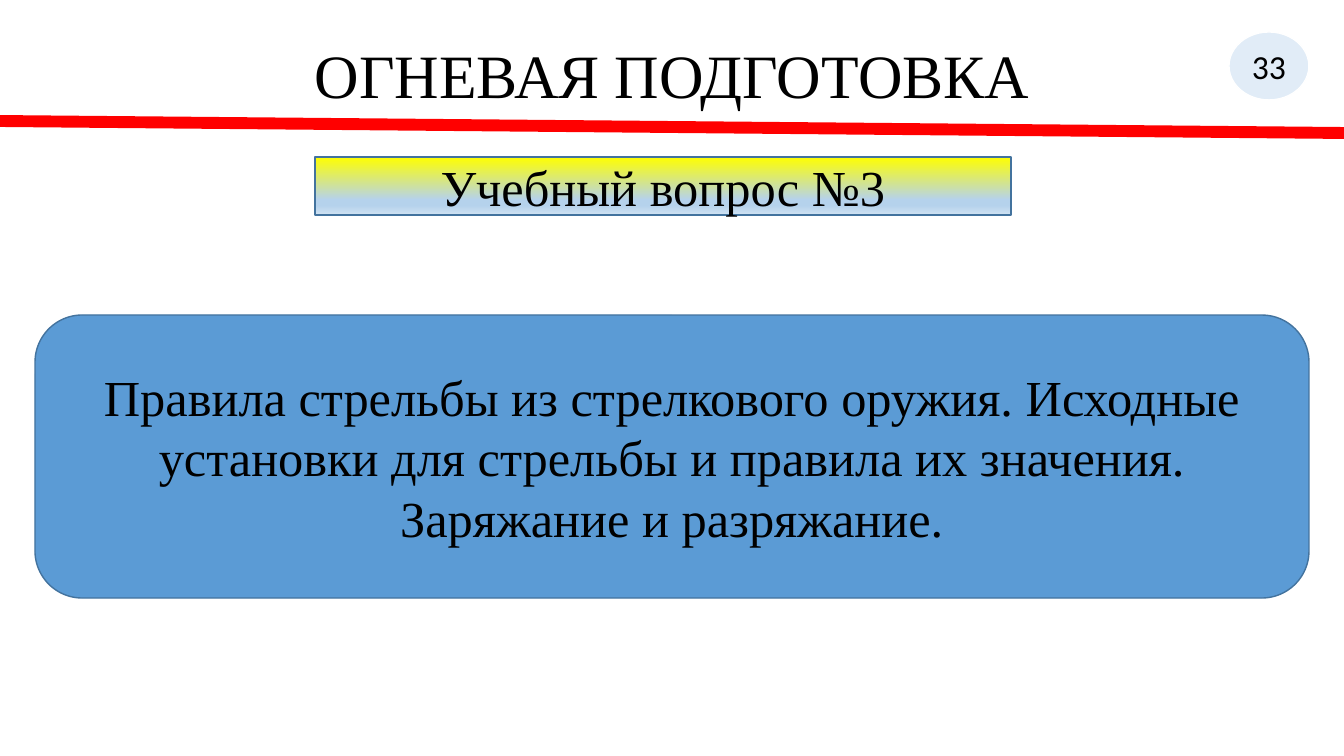
from lxml.etree import SubElement
from pptx import Presentation
from pptx.dml.color import RGBColor
from pptx.enum.shapes import MSO_CONNECTOR, MSO_SHAPE
from pptx.enum.text import MSO_ANCHOR, PP_ALIGN
from pptx.oxml.ns import qn
from pptx.util import Pt

# Content
TITLE = "ОГНЕВАЯ ПОДГОТОВКА"
PAGE_NUMBER = "33"
QUESTION = "Учебный вопрос №3"
TOPIC = ("Правила стрельбы из стрелкового оружия. Исходные установки для "
         "стрельбы и правила их значения. Заряжание и разряжание.")

SERIF, SANS = "Times New Roman", "Calibri"
BLACK = RGBColor(0x00, 0x00, 0x00)
WHITE = RGBColor(0xFF, 0xFF, 0xFF)
RED = RGBColor(0xFF, 0x00, 0x00)
BLUE = RGBColor(0x5B, 0x9B, 0xD5)
DARK_BLUE = RGBColor(0x43, 0x73, 0x9E)
YELLOW = RGBColor(0xFF, 0xFF, 0x00)
PALE_BLUE = RGBColor(0xB5, 0xD2, 0xEC)
LIGHT_BLUE = RGBColor(0xCE, 0xE1, 0xF2)
QUESTION_STOPS = [(0, YELLOW), (74, PALE_BLUE), (83, PALE_BLUE), (100, LIGHT_BLUE)]
BADGE_OPACITY = 18

# Shape, area in px (left, top, width, height), outline, text, font, size
BADGE = (MSO_SHAPE.OVAL, (1229, 32, 80, 68), WHITE, PAGE_NUMBER, SANS, 24)
TOPIC_BOX = (MSO_SHAPE.ROUNDED_RECTANGLE, (35, 315, 1274, 283), DARK_BLUE, TOPIC, SERIF, 36)
QUESTION_BOX = (MSO_SHAPE.RECTANGLE, (315, 157, 696, 58), DARK_BLUE, QUESTION, SERIF, 36)
TITLE_AREA = (93, 40, 1159, 146)
RULE = (0, 121, 1344, 133)
PAGE_SIZE = (1344, 756)
EMU_PER_PX = 914400 / 100.8


def emu(lengths):
    return [round(length * EMU_PER_PX) for length in lengths]


def write(frame, text, font, size, anchor=MSO_ANCHOR.MIDDLE):
    frame.text = text
    frame.vertical_anchor = anchor
    para = frame.paragraphs[0]
    para.alignment = PP_ALIGN.CENTER
    span = para.runs[0]
    span.font.name = font
    span.font.size = Pt(size)
    span.font.color.rgb = BLACK
    return para


def add_box(page, kind, area, outline, text, font, size):
    box = page.shapes.add_shape(kind, *emu(area))
    box.shadow.inherit = False
    box.fill.solid()
    box.fill.fore_color.rgb = BLUE
    box.line.color.rgb = outline
    box.line.width = Pt(1)
    write(box.text_frame, text, font, size)
    return box


def set_gradient(box, stops):
    box.fill.gradient()
    box.fill.gradient_angle = 270
    stop_list = box._element.spPr.find(qn("a:gradFill")).find(qn("a:gsLst"))
    for stop in list(stop_list):
        stop_list.remove(stop)
    for percent, color in stops:
        stop = SubElement(stop_list, qn("a:gs"), pos=str(percent * 1000))
        SubElement(stop, qn("a:srgbClr"), val=str(color))


deck = Presentation()
deck.slide_width, deck.slide_height = emu(PAGE_SIZE)
page = deck.slides.add_slide(deck.slide_layouts[5])

# Title
title = page.shapes.title
title.left, title.top, title.width, title.height = emu(TITLE_AREA)
write(title.text_frame, TITLE, SERIF, 44, MSO_ANCHOR.TOP).line_spacing = 0.9

# Red rule under the title
rule = page.shapes.add_connector(MSO_CONNECTOR.STRAIGHT, *emu(RULE))
rule.line.color.rgb = RED
rule.line.width = Pt(8.5)
SubElement(rule._element.spPr, qn("a:effectLst"))

# Page number badge with a translucent fill
badge = add_box(page, *BADGE)
badge.text_frame.word_wrap = False
badge_color = badge._element.spPr.find(qn("a:solidFill")).find(qn("a:srgbClr"))
SubElement(badge_color, qn("a:alpha"), val=str(BADGE_OPACITY * 1000))

# Topic and question
add_box(page, *TOPIC_BOX)
set_gradient(add_box(page, *QUESTION_BOX), QUESTION_STOPS)

deck.save("out.pptx")
